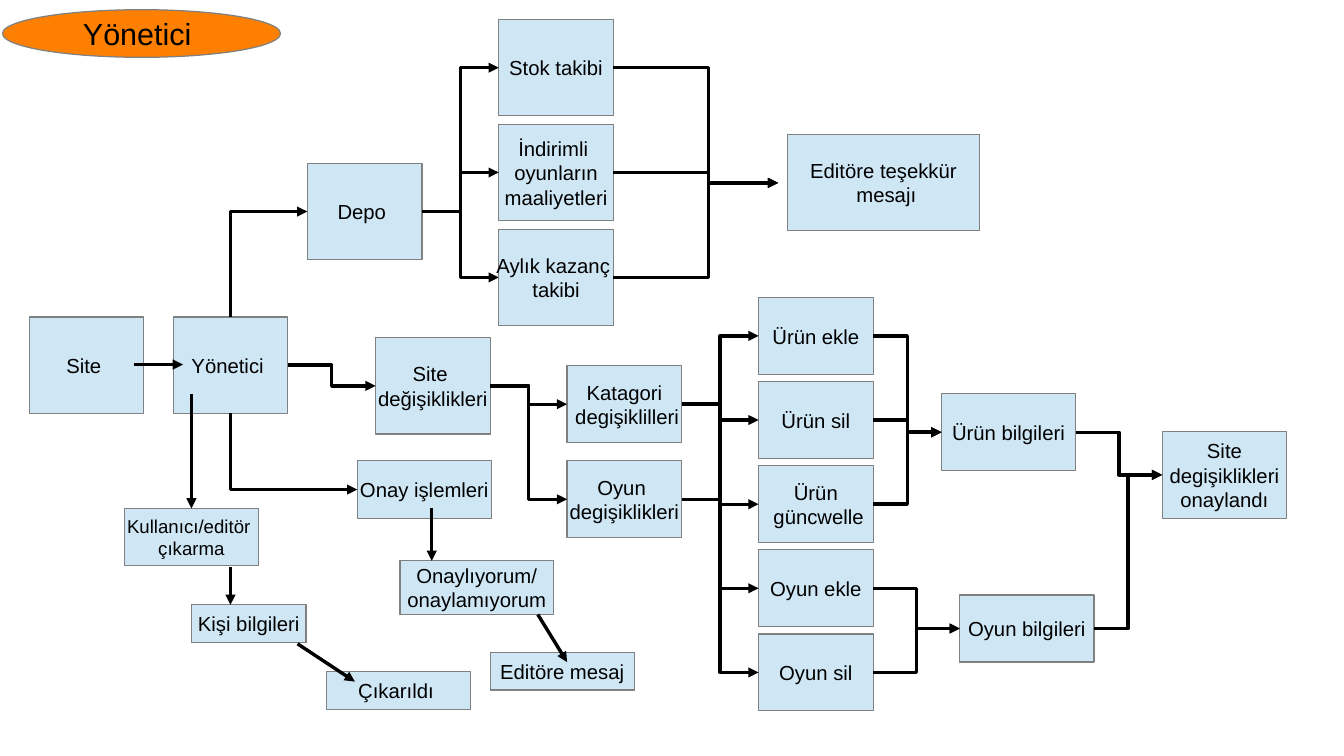
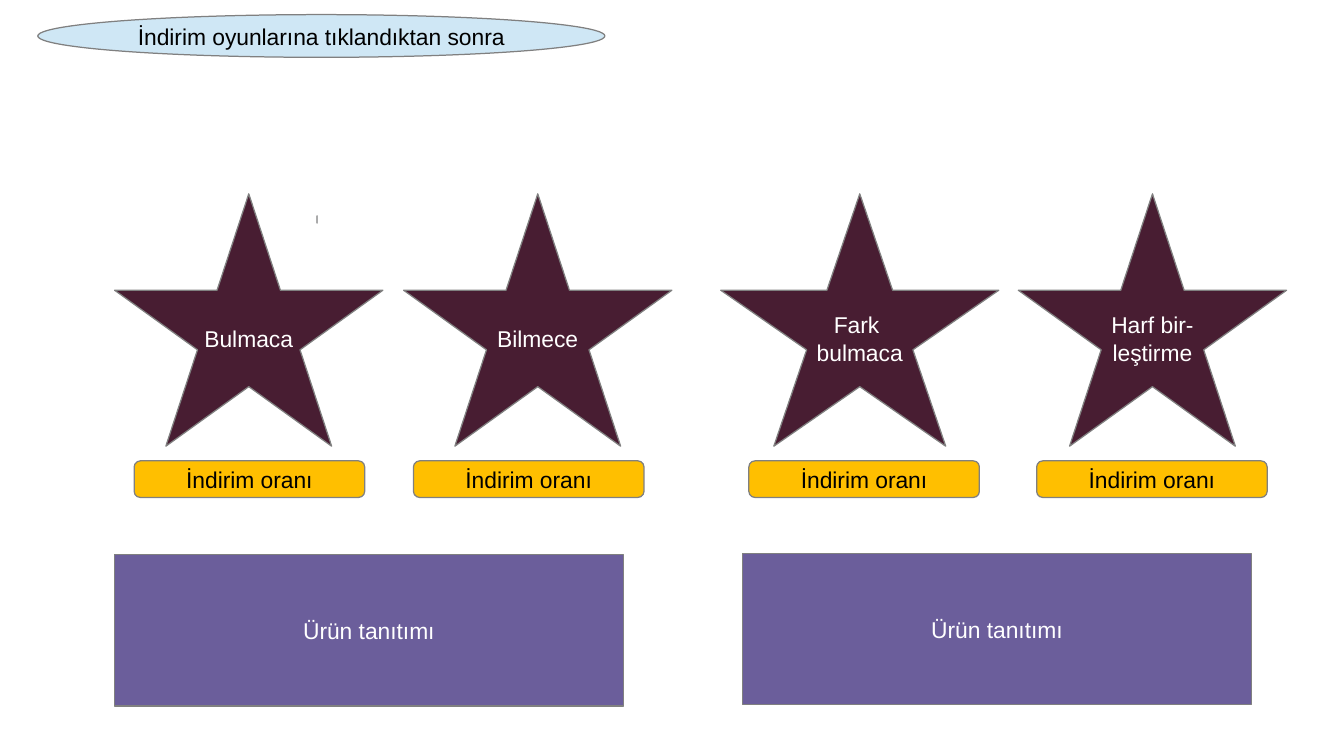
from lxml.etree import SubElement
from pptx import Presentation
from pptx.dml.color import RGBColor
from pptx.enum.shapes import MSO_CONNECTOR as LINK, MSO_SHAPE as SHAPE
from pptx.enum.text import MSO_ANCHOR, PP_ALIGN
from pptx.oxml.ns import qn
from pptx.util import Inches, Pt

FONT = "Arial"
COLORS = {
    "sky": "CFE7F5", "orange": "FF8000", "amber": "FFBF00", "plum": "481D32",
    "violet": "6B5E9B", "outline": "808080", "black": "000000", "white": "FFFFFF",
}
TOP, LEFT, BOTTOM, RIGHT = range(4)

# Flow boxes: left, first top, pitch, (width, height), {key: text}
SQUARE, CARD = (0.94, 0.79), (0.94, 0.63)
FLOW = [
    (0.24, 2.6, 0, SQUARE, {"site": "Site "}),
    (1.42, 2.6, 0, SQUARE, {"admin": "Yönetici "}),
    (2.52, 1.34, 0, SQUARE, {"depot": "Depo "}),
    (3.08, 2.77, 0, SQUARE, {"changes": "Site \ndeğişiklikleri"}),
    (4.09, 0.16, 0.86, SQUARE, {
        "stock": "Stok takibi",
        "costs": "İndirimli \noyunların\nmaaliyetleri",
        "earnings": "Aylık kazanç \ntakibi"}),
    (4.65, 3, 0.78, CARD, {
        "category": "Katagori\n degişiklilleri",
        "game": "Oyun \ndegişiklikleri"}),
    (6.22, 2.44, 0.69, CARD, {
        "add product": "Ürün ekle",
        "delete product": "Ürün sil",
        "update product": "Ürün\n güncwelle",
        "add game": "Oyun ekle",
        "delete game": "Oyun sil"}),
    (7.72, 3.23, 0, (1.1, 0.63), {"product info": "Ürün bilgileri"}),
    (7.87, 4.88, 0, (1.1, 0.55), {"game info": "Oyun bilgileri"}),
    (9.53, 3.54, 0, (1.02, 0.71), {"approved": "Site\n degişiklikleri \nonaylandı"}),
    (6.46, 1.1, 0, (1.57, 0.79), {"thanks": "Editöre teşekkür\n mesajı"}),
    (2.93, 3.78, 0, (1.1, 0.47), {"approval": "Onay işlemleri"}),
    (3.28, 4.6, 0, (1.26, 0.44), {"decision": "Onaylıyorum/\nonaylamıyorum"}),
    (1.02, 4.17, 0, (1.1, 0.47), {"removal": "Kullanıcı/editör \nçıkarma"}),
    (1.57, 4.96, 0, (0.94, 0.31), {"person": "Kişi bilgileri"}),
    (2.68, 5.51, 0, (1.18, 0.31), {"removed": "Çıkarıldı "}),
    (4.02, 5.35, 0, (1.18, 0.31), {"message": "Editöre mesaj"}),
]
SMALL_TEXT = {"removal": 11}

# Every source is joined to every target, right side to left side
BRANCHES = [
    (["admin"], ["changes"]),
    (["changes"], ["category", "game"]),
    (["depot"], ["stock", "costs", "earnings"]),
    (["category"], ["add product", "delete product", "update product"]),
    (["game"], ["delete game", "add game"]),
    (["add product", "delete product", "update product"], ["product info"]),
    (["add game", "delete game"], ["game info"]),
    (["product info", "game info"], ["approved"]),
]
CORNERS = [("admin", TOP, "depot"), ("admin", BOTTOM, "approval")]
THANKS_SOURCES, THANKS_TRUNK, THANKS_TIP = ["stock", "costs", "earnings"], 5.81, (6.38, 1.5)

# Straight arrows: from, to, box whose top the tip meets
ARROWS = [
    ((1.1, 2.99), (1.5, 2.99), None),
    ((3.54, 4.17), (3.54, 4.6), None),
    ((1.57, 3.23), (1.57, 4.17), "removal"),
    ((1.89, 4.65), (1.89, 4.96), None),
    ((2.44, 5.28), (2.91, 5.59), None),
    ((4.41, 5.04), (4.65, 5.43), None),
]

# Games: name, star left, star width, discount tag left
GAMES = [
    ("Bulmaca", 0.94, 2.2, 1.1),
    ("Bilmece", 3.31, 2.2, 3.39),
    ("Fark \nbulmaca", 5.91, 2.28, 6.14),
    ("Harf bir-\nleştirme", 8.35, 2.2, 8.5),
]
DISCOUNT, INTRO = "İndirim oranı", "Ürün tanıtımı"
INTRO_CORNERS = [(0.94, 4.55), (6.09, 4.54)]


def rgb(name):
    return RGBColor.from_string(COLORS[name])


def add_block(slide, text, left, top, width, height, *, kind=SHAPE.RECTANGLE,
              fill="sky", color="black", size=12):
    block = slide.shapes.add_shape(kind, *map(Inches, (left, top, width, height)))
    block.shadow.inherit = False
    block.fill.solid()
    block.fill.fore_color.rgb = rgb(fill)
    block.line.color.rgb = rgb("outline")
    block.line.width = 0
    frame = block.text_frame
    frame.word_wrap = False
    frame.vertical_anchor = MSO_ANCHOR.MIDDLE
    for i, line in enumerate(text.split("\n") if text else []):
        paragraph = frame.add_paragraph() if i else frame.paragraphs[0]
        paragraph.alignment = PP_ALIGN.CENTER
        run = paragraph.add_run()
        run.text = line
        run.font.name, run.font.size = FONT, Pt(size)
        run.font.color.rgb = rgb(color)
    return block


def add_arrow(slide, kind, start=(0, 0), end=(0, 0)):
    arrow = slide.shapes.add_connector(kind, *map(Inches, (*start, *end)))
    arrow.line.color.rgb = rgb("black")
    arrow.line.width = 0
    properties = arrow._element.spPr
    SubElement(properties.find(qn("a:ln")), qn("a:tailEnd"), type="triangle")
    SubElement(properties, qn("a:effectLst"))
    return arrow


def add_elbow(slide, source, target, side=RIGHT):
    elbow = add_arrow(slide, LINK.ELBOW)
    elbow.begin_connect(source, side)
    elbow.end_connect(target, LEFT)
    return elbow


def make_corner(elbow, side):
    """Turn an elbow into a single bend that leaves its box vertically."""
    width, height = elbow.width, elbow.height
    elbow.left += (width - height) // 2
    elbow.top += (height - width) // 2
    elbow.width, elbow.height = height, width
    properties = elbow._element.spPr
    properties.find(qn("a:prstGeom")).set("prst", "bentConnector2")
    frame = properties.find(qn("a:xfrm"))
    frame.set("rot", str((90 if side == TOP else 270) * 60000))
    frame.set("flipH", "1")
    frame.set("flipV", "1" if side == TOP else "0")


def add_thanks_elbow(slide, source):
    elbow = add_arrow(slide, LINK.ELBOW, end=THANKS_TIP)
    elbow.begin_connect(source, RIGHT)
    share = (Inches(THANKS_TRUNK) - elbow.begin_x) / elbow.width
    adjustments = elbow._element.spPr.find(qn("a:prstGeom")).find(qn("a:avLst"))
    SubElement(adjustments, qn("a:gd"), name="adj1", fmla=f"val {round(share * 100000)}")


def build_admin_flow(slide):
    boxes = {}
    for left, top, pitch, size, texts in FLOW:
        for row, (key, text) in enumerate(texts.items()):
            boxes[key] = add_block(slide, text, left, top + row * pitch, *size,
                                   size=SMALL_TEXT.get(key, 12))
    add_block(slide, "Yönetici ", 0.02, 0.08, 2.28, 0.39, kind=SHAPE.OVAL,
              fill="orange", size=18)
    for sources, targets in BRANCHES:
        for source in sources:
            for target in targets:
                add_elbow(slide, boxes[source], boxes[target])
    for source, side, target in CORNERS:
        make_corner(add_elbow(slide, boxes[source], boxes[target], side), side)
    for source in THANKS_SOURCES:
        add_thanks_elbow(slide, boxes[source])
    for start, end, target in ARROWS:
        arrow = add_arrow(slide, LINK.STRAIGHT, start, end)
        if target:
            arrow.end_connect(boxes[target], TOP)


def build_discount_page(slide):
    add_block(slide, "İndirim oyunlarına tıklandıktan sonra", 0.31, 0.12, 4.65, 0.35,
              kind=SHAPE.OVAL, size=13.5)
    add_block(slide, "", 2.6, 1.77, 0, 0.06, kind=SHAPE.STAR_5_POINT)
    for game, star_left, star_width, tag_left in GAMES:
        add_block(slide, game, star_left, 1.59, star_width, 2.07,
                  kind=SHAPE.STAR_5_POINT, fill="plum", color="white", size=13.5)
        add_block(slide, DISCOUNT, tag_left, 3.78, 1.89, 0.3,
                  kind=SHAPE.FLOWCHART_ALTERNATE_PROCESS, fill="amber", size=13.5)
    for left, top in INTRO_CORNERS:
        add_block(slide, INTRO, left, top, 4.17, 1.24, fill="violet", color="white",
                  size=13.5)


def main():
    deck = Presentation()
    deck.slide_width, deck.slide_height = Inches(11.02), Inches(6.2)
    for build in (build_admin_flow, build_discount_page):
        build(deck.slides.add_slide(deck.slide_layouts[6]))
    deck.save("out.pptx")


if __name__ == "__main__":
    main()
